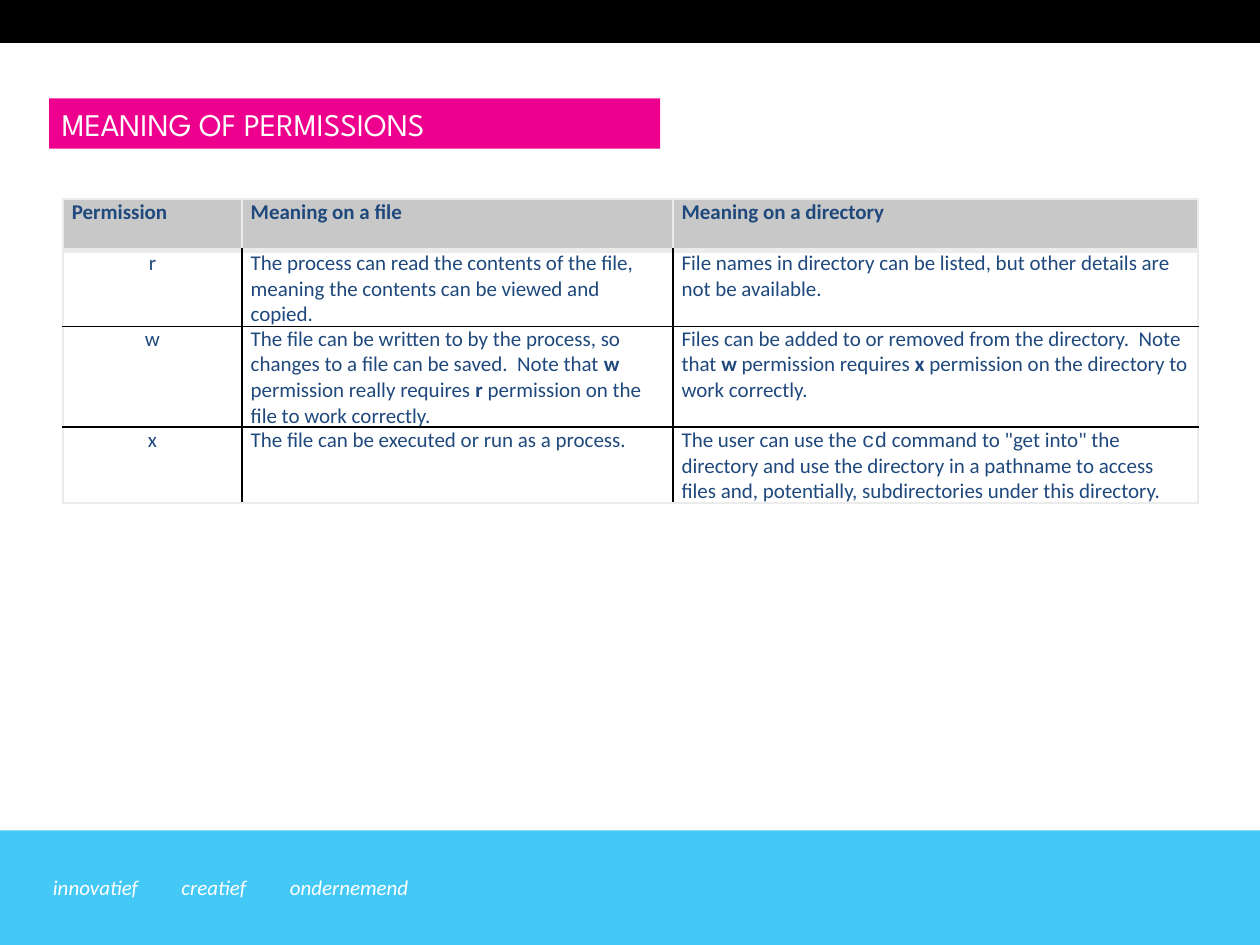
from pptx import Presentation
from pptx.dml.color import RGBColor
from pptx.enum.shapes import MSO_SHAPE
from pptx.enum.text import MSO_ANCHOR, PP_ALIGN
from pptx.oxml import parse_xml
from pptx.oxml.ns import nsdecls
from pptx.util import Inches, Pt


def tint(code):
    return RGBColor.from_string(code)


class Deck:
    font = "Calibri"
    navy, white, black = "1F497D", "FFFFFF", "000000"
    pale, grey = "EBEBEB", "C8C8C8"
    pink, blue = "ED008D", "44C8F5"

    def __init__(self):
        self.file = Presentation()
        self.file.slide_width = Inches(10)
        self.file.slide_height = Inches(7.5)
        self.slide = self.file.slides.add_slide(self.file.slide_layouts[5])

    def place(self, item, x, y, w, h):
        item.left, item.top = Inches(x), Inches(y)
        item.width, item.height = Inches(w), Inches(h)

    def style(self, font, color, size=12, name=font):
        font.name, font.size = name, Pt(size)
        font.color.rgb = tint(color)

    def band(self, y, h, color):
        bar = self.slide.shapes.add_shape(
            MSO_SHAPE.RECTANGLE, 0, Inches(y), Inches(10), Inches(h))
        bar.fill.solid()
        bar.fill.fore_color.rgb = tint(color)
        bar.line.fill.background()
        bar.shadow.inherit = False

    def title(self, text, x, y, w, h):
        head = self.slide.shapes.title
        self.place(head, x, y, w, h)
        head.fill.solid()
        head.fill.fore_color.rgb = tint(self.pink)
        frame = head.text_frame
        frame.text = text
        frame.vertical_anchor = MSO_ANCHOR.MIDDLE
        para = frame.paragraphs[0]
        para.alignment = PP_ALIGN.LEFT
        para.space_before = Pt(18)
        self.style(para.font, self.white, 18, "League Spartan")

    def label(self, text, x, y, w, h):
        box = self.slide.shapes.add_textbox(
            Inches(x), Inches(y), Inches(w), Inches(h))
        frame = box.text_frame
        frame.margin_left = 0
        frame.word_wrap = False
        frame.text = text
        para = frame.paragraphs[0]
        self.style(para.font, self.white)
        para.font.italic = True

    def edge(self, cell, sides):
        props = cell._tc.get_or_add_tcPr()
        for spot, (side, color, width) in enumerate(sides):
            props.insert(spot, parse_xml(
                f'<a:ln{side} {nsdecls("a")} w="{Pt(width)}"><a:solidFill>'
                f'<a:srgbClr val="{color}"/></a:solidFill></a:ln{side}>'))

    def fill(self, cell, text, head, mid):
        cell.margin_left = cell.margin_right = Inches(0.07)
        cell.margin_top = cell.margin_bottom = 0
        para = cell.text_frame.paragraphs[0]
        para.alignment = PP_ALIGN.CENTER if mid else PP_ALIGN.LEFT
        self.style(para.font, self.navy)
        para.font.bold = head
        for spot, part in enumerate(text.split("|")):
            run = para.add_run()
            run.text = part
            if spot % 2 and part == "cd":
                run.font.name = "Courier New"
            elif spot % 2:
                run.font.bold = True

    def table(self, rows, x, y, widths, tall):
        last, end = len(rows) - 1, len(widths) - 1
        grid = self.slide.shapes.add_table(
            len(rows), len(widths), Inches(x), Inches(y),
            Inches(sum(widths)), Inches(tall * len(rows))).table
        grid.horz_banding = False
        for col, width in zip(grid.columns, widths):
            col.width = Inches(width)
        for r, row in enumerate(rows):
            grid.rows[r].height = Inches(tall)
            for c, text in enumerate(row):
                cell, head = grid.cell(r, c), r == 0
                self.fill(cell, text, head, c == 0 and not head)
                if head:
                    cell.fill.solid()
                    cell.fill.fore_color.rgb = tint(self.grey)
                else:
                    cell.fill.background()
                self.edge(cell, [
                    ("L", self.pale if head or c == 0 else self.black, 1),
                    ("R", self.pale if head or c == end else self.black, 1),
                    ("T", self.pale if r < 2 else self.black, 3 if r == 1 else 1),
                    ("B", self.pale if r in (0, last) else self.black, 3 if head else 1)])


deck = Deck()
deck.band(6.59, 0.91, deck.blue)
deck.band(0, 0.34, deck.black)
for text, x, w in [("innovatief", 0.42, 0.78), ("creatief", 1.44, 0.62),
                   ("ondernemend", 2.3, 1.05)]:
    deck.label(text, x, 6.89, w, 0.3)
deck.title("MEANING OF PERMISSIONS", 0.39, 0.78, 4.85, 0.4)
deck.table([
    ["Permission", "Meaning on a file", "Meaning on a directory"],
    ["r",
     "The process can read the contents of the file, meaning the contents "
     "can be viewed and copied.",
     "File names in directory can be listed, but other details are not be "
     "available."],
    ["w",
     "The file can be written to by the process, so changes to a file can be "
     "saved.  Note that |w| permission really requires |r| permission on the "
     "file to work correctly.",
     "Files can be added to or removed from the directory.  Note that |w| "
     "permission requires |x| permission on the directory to work correctly."],
    ["x",
     "The file can be executed or run as a process. ",
     "The user can use the |cd| command to \"get into\" the directory and use "
     "the directory in a pathname to access files and, potentially, "
     "subdirectories under this directory."],
], 0.5, 1.58, [1.42, 3.42, 4.17], 0.41)
deck.file.save("out.pptx")
